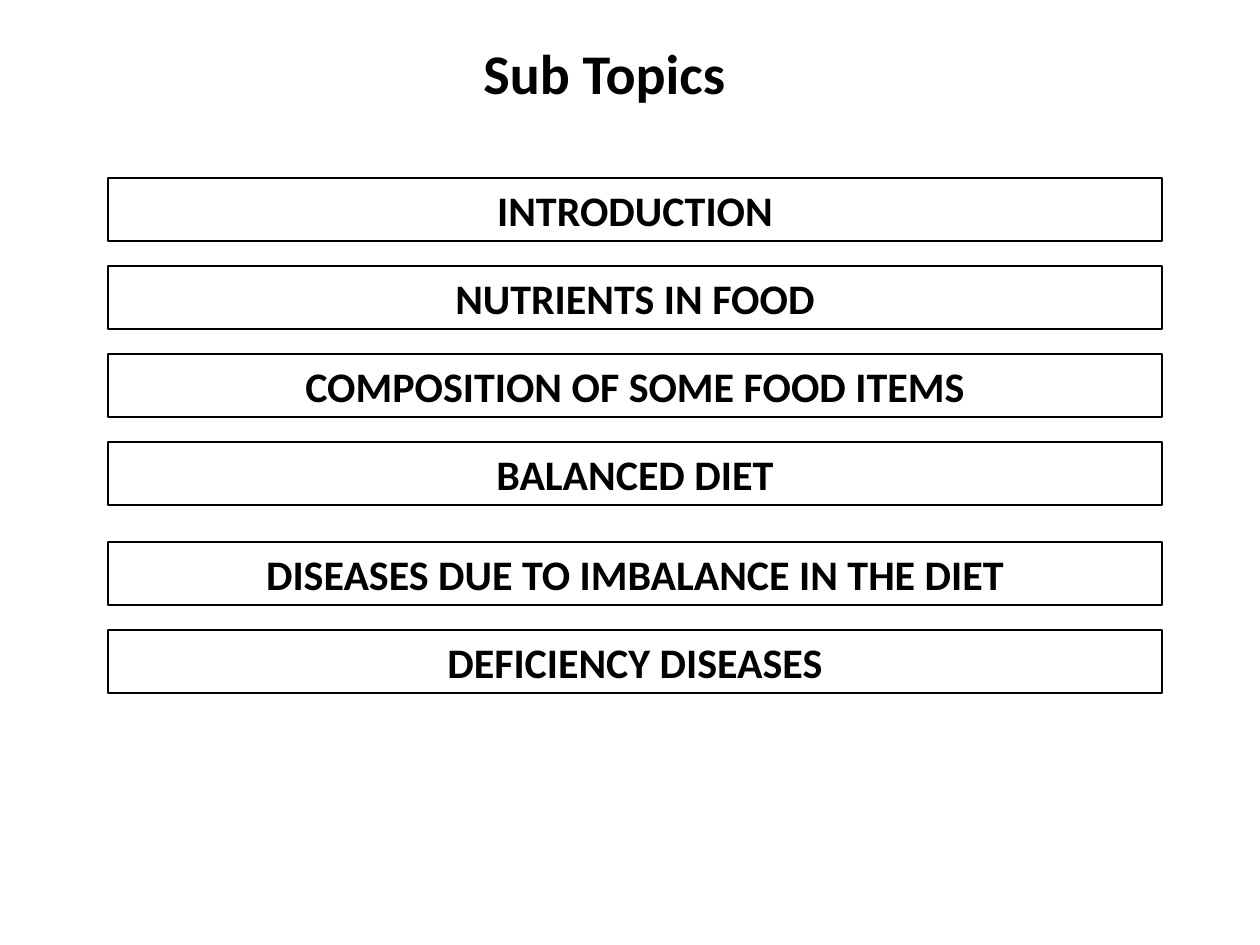
"""Build the Sub Topics slide with its six outlined topic boxes."""
from pptx import Presentation
from pptx.dml.color import RGBColor
from pptx.enum.shapes import MSO_SHAPE as Preset
from pptx.enum.text import MSO_ANCHOR as Anchor, MSO_AUTO_SIZE as AutoSize, PP_ALIGN as Align
from pptx.util import Pt

EMU_PER_PX = 914400 / 126
COLOURS = {"ink": "000000", "paper": "FFFFFF"}
TOPIC_GROUPS = [
    (178, ["INTRODUCTION", "NUTRIENTS IN FOOD", "COMPOSITION OF SOME FOOD ITEMS", "BALANCED DIET"]),
    (542, ["DISEASES DUE TO IMBALANCE IN THE DIET", "DEFICIENCY DISEASES"]),
]
TOPIC_PITCH = 88


def px(length):
    return round(length * EMU_PER_PX)


class SlideBuilder:
    font = "Calibri"

    def __init__(self, presentation):
        self.slide = presentation.slides.add_slide(presentation.slide_layouts[5])
        background = self.slide.background.fill
        background.solid()
        background.fore_color.rgb = self.colour("paper")

    def colour(self, name):
        return RGBColor.from_string(COLOURS[name])

    def add_text(self, shape, text, size, anchor):
        frame = shape.text_frame
        frame.word_wrap = True
        frame.vertical_anchor = anchor
        paragraph = frame.paragraphs[0]
        paragraph.alignment = Align.CENTER
        run = paragraph.add_run()
        run.text = text
        run.font.name = self.font
        run.font.size = Pt(size)
        run.font.bold = True
        run.font.color.rgb = self.colour("ink")

    def title(self, text, left, top, width, height):
        shape = self.slide.shapes.title
        shape.left, shape.top = px(left), px(top)
        shape.width, shape.height = px(width), px(height)
        self.add_text(shape, text, 32, Anchor.MIDDLE)

    def topic(self, text, left, top, width, height):
        shape = self.slide.shapes.add_shape(
            Preset.RECTANGLE, px(left), px(top), px(width), px(height))
        shape.shadow.inherit = False
        shape.fill.background()
        shape.line.color.rgb = self.colour("ink")
        shape.line.width = Pt(0.75)
        self.add_text(shape, text, 24, Anchor.TOP)
        shape.text_frame.auto_size = AutoSize.SHAPE_TO_FIT_TEXT


def main():
    presentation = Presentation()
    presentation.slide_width, presentation.slide_height = px(1260), px(945)
    builder = SlideBuilder(presentation)
    builder.title("Sub Topics", 69, -29, 1071, 203)
    for top, topics in TOPIC_GROUPS:
        for index, topic in enumerate(topics):
            builder.topic(topic, 108, top + index * TOPIC_PITCH, 1054, 63)
    presentation.save("out.pptx")


if __name__ == "__main__":
    main()
